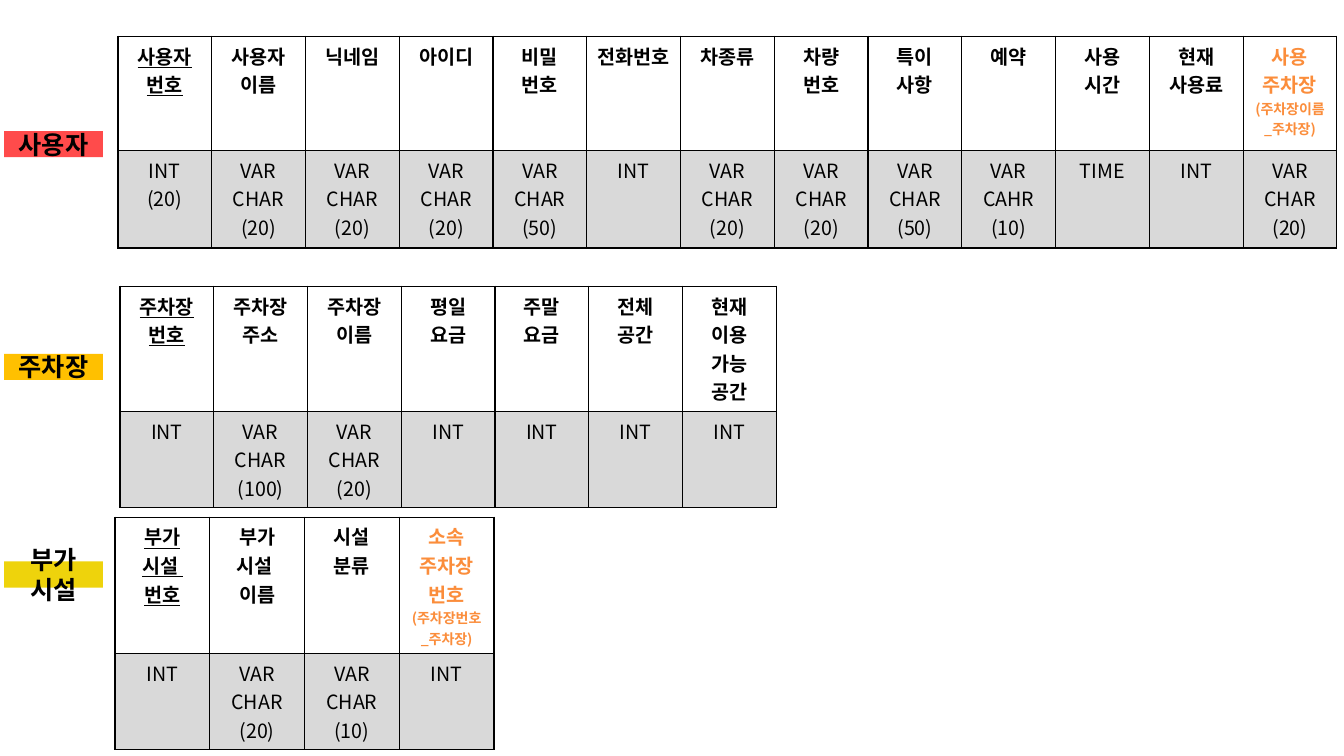
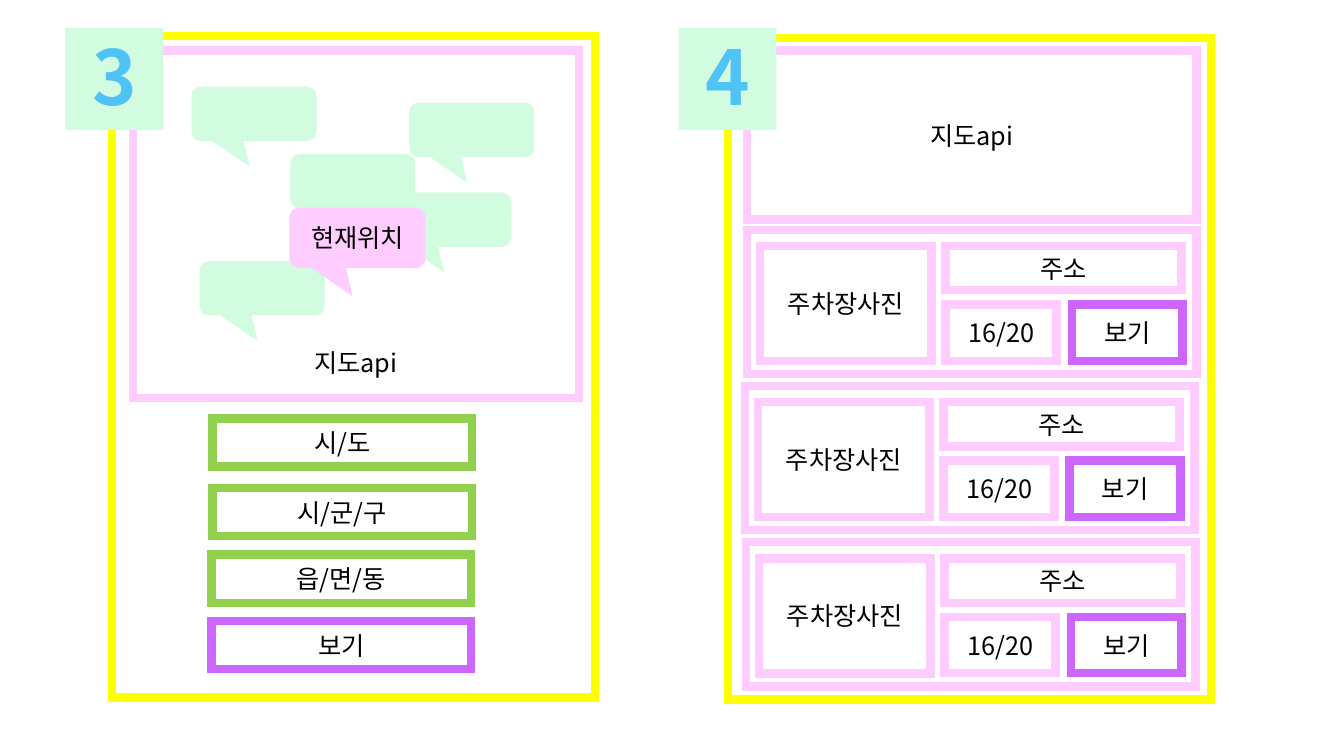
from dataclasses import dataclass

from lxml import etree
from pptx import Presentation
from pptx.dml.color import RGBColor
from pptx.enum.shapes import MSO_SHAPE
from pptx.enum.text import MSO_ANCHOR, PP_ALIGN
from pptx.oxml.ns import qn
from pptx.util import Inches, Pt

RECTANGLE = MSO_SHAPE.RECTANGLE
CALLOUT = MSO_SHAPE.ROUNDED_RECTANGULAR_CALLOUT
CENTER = PP_ALIGN.CENTER
MIDDLE = MSO_ANCHOR.MIDDLE
BOTTOM = MSO_ANCHOR.BOTTOM


@dataclass(frozen=True)
class Theme:
    font: str = "Noto Sans CJK KR"
    black: str = "000000"
    white: str = "FFFFFF"
    gray: str = "D9D9D9"
    orange: str = "FB8D3B"
    red: str = "FF4B4B"
    amber: str = "FFC000"
    mustard: str = "EED30C"
    yellow: str = "FFFF00"
    pink: str = "FFCCFF"
    green: str = "92D050"
    purple: str = "CC66FF"
    mint: str = "D2FCE0"
    blue: str = "50C3F6"
    note_size: int = 10
    cell_size: int = 14
    body_size: int = 18
    badge_size: int = 54
    frame_width: int = 6
    border_width: int = 1


THEME = Theme()

USER_FIELDS = [
    ("사용자|번호", "INT|(20)"),
    ("사용자|이름", "VAR|CHAR|(20)"),
    ("닉네임", "VAR|CHAR|(20)"),
    ("아이디", "VAR|CHAR|(20)"),
    ("비밀|번호", "VAR|CHAR|(50)"),
    ("전화번호", "INT"),
    ("차종류", "VAR|CHAR|(20)"),
    ("차량|번호", "VAR|CHAR|(20)"),
    ("특이|사항", "VAR|CHAR|(50)"),
    ("예약", "VAR|CAHR|(10)"),
    ("사용|시간", "TIME"),
    ("현재|사용료", "INT"),
    ("사용|주차장|(주차장이름_주차장)", "VAR|CHAR|(20)"),
]
PARKING_FIELDS = [
    ("주차장|번호", "INT"),
    ("주차장|주소", "VAR|CHAR|(100)"),
    ("주차장|이름", "VAR|CHAR|(20)"),
    ("평일|요금", "INT"),
    ("주말|요금", "INT"),
    ("전체|공간", "INT"),
    ("현재|이용|가능|공간", "INT"),
]
FACILITY_FIELDS = [
    ("부가|시설 |번호", "INT"),
    ("부가|시설 |이름", "VAR|CHAR|(20)"),
    ("시설|분류", "VAR|CHAR|(10)"),
    ("소속|주차장|번호|(주차장번호_주차장)", "INT"),
]


class Deck:
    """Holds the presentation, its theme and the slide being filled."""

    def __init__(self, theme):
        self.theme = theme
        self.presentation = Presentation()
        self.presentation.slide_width = Inches(13.33)
        self.presentation.slide_height = Inches(7.5)
        self.slide = None

    def add_slide(self):
        layout = self.presentation.slide_layouts[6]
        self.slide = self.presentation.slides.add_slide(layout)

    def add_text(self, paragraph, text, color=None, size=None, **formats):
        run = paragraph.add_run()
        run.text = text
        paragraph.alignment = CENTER
        formats = {
            "name": self.theme.font,
            "size": Pt(size or self.theme.body_size),
            **formats,
        }
        for name, value in formats.items():
            setattr(run.font, name, value)
        run.font.color.rgb = RGBColor.from_string(color or self.theme.black)
        properties = run._r.get_or_add_rPr()
        etree.SubElement(properties, qn("a:ea"), typeface=self.theme.font)
        return properties

    def paragraphs(self, frame, text):
        """Yield one paragraph of the frame with each part of the text."""
        for index, part in enumerate(text.split("|")):
            yield (frame.add_paragraph() if index else frame.paragraphs[0]), part

    def shape(self, box, kind=RECTANGLE, fill=None, line=None):
        shape = self.slide.shapes.add_shape(kind, *map(Inches, box))
        shape.shadow.inherit = False
        if fill:
            shape.fill.solid()
            shape.fill.fore_color.rgb = RGBColor.from_string(fill)
        else:
            shape.fill.background()
        if line:
            shape.line.color.rgb = RGBColor.from_string(line)
            shape.line.width = Pt(self.theme.frame_width)
            outline = shape.line._get_or_add_ln()
            etree.SubElement(outline, qn("a:miter"), lim="800000")
        else:
            shape.line.fill.background()
        return shape

    def label(self, box, text, fill):
        frame = self.shape(box, fill=fill).text_frame
        frame.vertical_anchor = MIDDLE
        for paragraph, part in self.paragraphs(frame, text):
            self.add_text(paragraph, part, bold=True)

    def frame(self, box, color, text="", anchor=MIDDLE, inset=0.05):
        shape = self.shape(box, line=color)
        if text:
            frame = shape.text_frame
            frame.word_wrap = True
            frame.vertical_anchor = anchor
            frame.margin_bottom = Inches(inset)
            self.add_text(frame.paragraphs[0], text)

    def badge(self, left, number):
        shape = self.shape((left, 0.28, 0.97, 1.01), fill=self.theme.mint)
        frame = shape.text_frame
        frame.vertical_anchor = MIDDLE
        frame.margin_bottom = Inches(0.13)
        properties = self.add_text(
            frame.paragraphs[0], number, self.theme.blue,
            self.theme.badge_size, bold=True,
        )
        properties.set("spc", "50")

    def callout(self, box, fill, text=""):
        shape = self.shape(box, CALLOUT, fill)
        for index, value in enumerate((-0.036, 0.968, 0.167)):
            shape.adjustments[index] = value
        if text:
            shape.text_frame.vertical_anchor = MIDDLE
            self.add_text(shape.text_frame.paragraphs[0], text)

    def cell(self, cell, text, fill, header=False, key=False):
        properties = cell._tc.get_or_add_tcPr()
        width = str(Pt(self.theme.border_width))
        for side in ("lnL", "lnR", "lnT", "lnB"):
            border = etree.SubElement(properties, qn(f"a:{side}"), w=width)
            solid = etree.SubElement(border, qn("a:solidFill"))
            etree.SubElement(solid, qn("a:srgbClr"), val=self.theme.black)
        cell.fill.solid()
        cell.fill.fore_color.rgb = RGBColor.from_string(fill)
        foreign = header and "(" in text
        color = self.theme.orange if foreign else self.theme.black
        for paragraph, part in self.paragraphs(cell.text_frame, text):
            note = header and part.startswith("(")
            size = self.theme.note_size if note else self.theme.cell_size
            self.add_text(paragraph, part, color, size,
                          bold=header, underline=key)

    def schema_table(self, left, top, column_width, row_heights, fields):
        """Draw field names over their types; the first field is the key."""
        table = self.slide.shapes.add_table(
            2, len(fields), Inches(left), Inches(top),
            Inches(column_width * len(fields)), Inches(sum(row_heights)),
        ).table
        table.first_row = table.horz_banding = False
        for row, height in zip(table.rows, row_heights):
            row.height = Inches(height)
        for index, (name, kind) in enumerate(fields):
            table.columns[index].width = Inches(column_width)
            self.cell(table.cell(0, index), name, self.theme.white,
                      header=True, key=index == 0)
            self.cell(table.cell(1, index), kind, self.theme.gray)

    def parking_card(self, left, top):
        pink, purple = self.theme.pink, self.theme.purple
        self.frame((left, top, 4.46, 1.43), pink)
        for x, y, width, height, color, text in (
            (0.13, 0.16, 1.7, 1.14, pink, "주차장사진"),
            (1.97, 0.16, 2.34, 0.44, pink, "주소"),
            (1.97, 0.74, 1.1, 0.56, pink, "16/20"),
            (3.22, 0.74, 1.1, 0.56, purple, "보기"),
        ):
            self.frame((left + x, top + y, width, height), color, text)


def build_schema_slide(deck):
    deck.add_slide()
    deck.schema_table(1.17, 0.36, 0.93, (1.13, 0.97), USER_FIELDS)
    deck.schema_table(1.19, 2.84, 0.93, (1.24, 0.95), PARKING_FIELDS)
    deck.schema_table(1.14, 5.13, 0.94, (1.35, 0.95), FACILITY_FIELDS)
    for top, text, fill in (
        (1.3, "사용자", THEME.red),
        (3.51, "주차장", THEME.amber),
        (5.57, "부가|시설", THEME.mustard),
    ):
        deck.label((0.04, top, 0.98, 0.26), text, fill)


def build_screens_slide(deck):
    deck.add_slide()
    deck.frame((1.11, 0.36, 4.79, 6.56), THEME.yellow)
    deck.frame((1.32, 0.5, 4.42, 3.45), THEME.pink, "지도api", BOTTOM, 0.2)
    for left, top, color, text in (
        (2.11, 4.15, THEME.green, "시/도"),
        (2.11, 4.84, THEME.green, "시/군/구"),
        (2.1, 5.5, THEME.green, "읍/면/동"),
        (2.1, 6.16, THEME.purple, "보기"),
    ):
        deck.frame((left, top, 2.57, 0.48), color, text)

    deck.frame((7.22, 0.38, 4.79, 6.56), THEME.yellow)
    deck.frame((7.41, 0.5, 4.46, 1.68), THEME.pink, "지도api")
    for left, number in ((0.65, "3"), (6.73, "4")):
        deck.badge(left, number)
    for index, left in enumerate((7.41, 7.39, 7.4)):
        deck.parking_card(left, 2.28 + 1.55 * index)

    for left, top in (
        (1.9, 0.86), (3.83, 1.91), (4.06, 1.02), (1.98, 2.59), (2.88, 1.53),
    ):
        deck.callout((left, top, 1.24, 0.54), THEME.mint)
    deck.callout((2.87, 2.06, 1.35, 0.6), THEME.pink, "현재위치")


def main():
    deck = Deck(THEME)
    build_schema_slide(deck)
    build_screens_slide(deck)
    deck.presentation.save("out.pptx")


if __name__ == "__main__":
    main()
